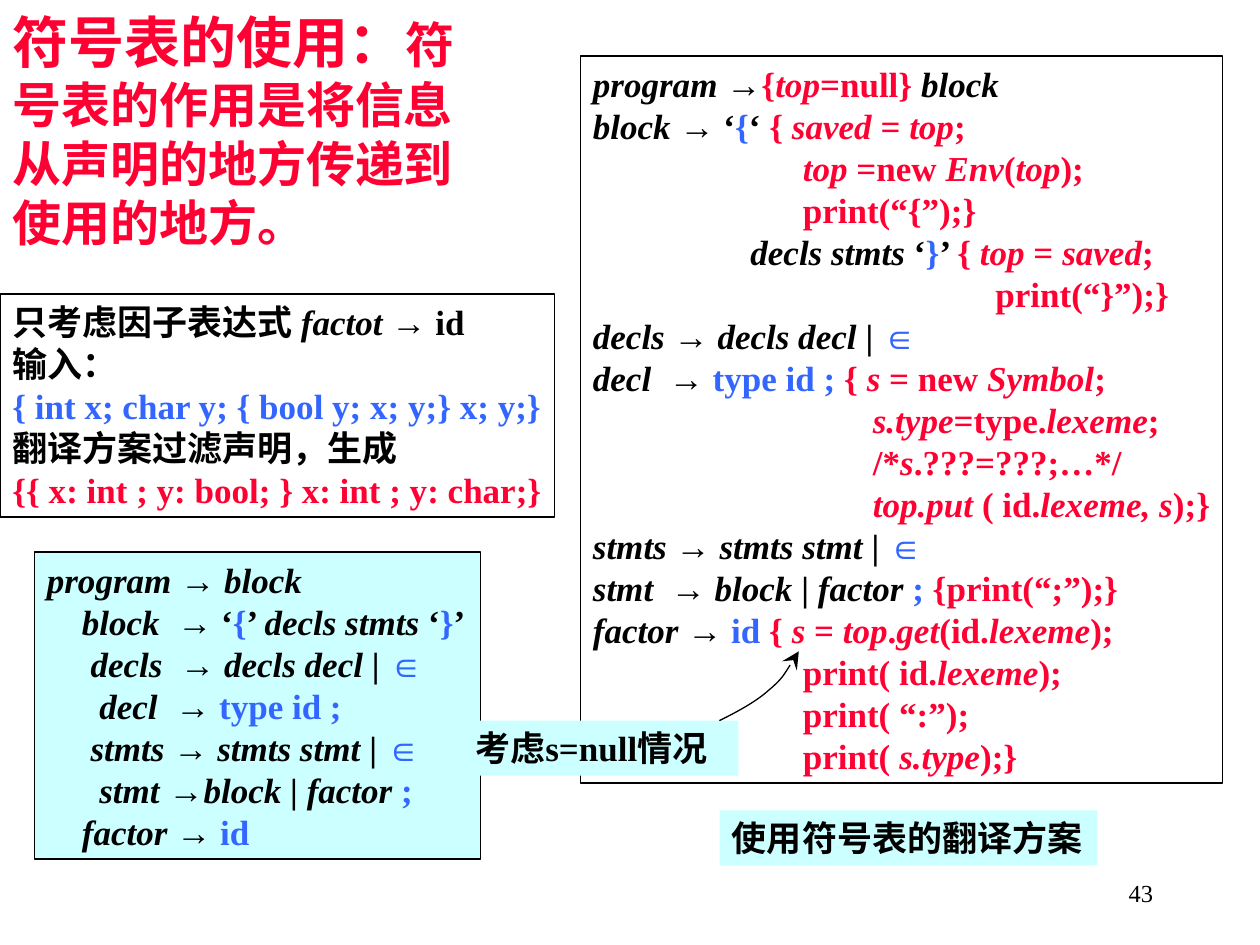
from lxml.etree import SubElement
from pptx import Presentation
from pptx.dml.color import RGBColor
from pptx.enum.shapes import MSO_SHAPE as Shape
from pptx.enum.text import MSO_ANCHOR as Anchor, MSO_AUTO_SIZE as AutoSize, PP_ALIGN as Align
from pptx.oxml.ns import qn
from pptx.util import Pt

COLORS = {"black": "000000", "red": "FF0033", "blue": "3366FF", "pale": "CCFFFF"}
K, R, B = "black", "red", "blue"
SERIF, SANS = "Times New Roman", "Arial"
SPACE = 5  # width in points of one space of indent

# Content: a line is (indent in spaces, spans); _underscores_ enclose italics
TITLE = [("符号表的使用：", 32), ("符号表的作用是将信息从声明的地方传递到使用的地方。", 28)]
EXAMPLE = [
    (0, [(K, "只考虑因子表达式 _factot _→ id\v输入：")]),
    (0, [(B, "{ int x; char y; { bool y; x; y;} x; y;}")]),
    (0, [(K, "翻译方案过滤声明，生成")]),
    (0, [(R, "{{ x: int ; y: bool; } x: int ; y: char;}")]),
]
SCHEME = [
    (0, [(K, "_program _→"), (R, "{_top_=null} "), (K, "_block_")]),
    (0, [(K, "_block _→ ‘"), (B, "{"), (K, "‘ "), (R, "{ _saved_ = _top_;")]),
    (24, [(R, "_top_ =new _Env_(_top_);")]),
    (24, [(R, "print(“{”);}")]),
    (18, [(K, "_decls stmts_ ‘"), (B, "}"), (K, "’ "), (R, "{ _top_ = _saved_;")]),
    (46, [(R, "print(“}”);}")]),
    (0, [(K, "_decls _→ _decls decl_ | "), (B, "∈")]),
    (0, [(K, "_decl  _→ "), (B, "type id ; "), (R, "{ _s_ = new _Symbol_;")]),
    (32, [(R, "_s.type_=type._lexeme_;")]),
    (32, [(R, "/*_s_.???=???;…*/")]),
    (32, [(R, "_top.put _( id._lexeme, s_);}")]),
    (0, [(K, "_stmts _→ _stmts stmt_ | "), (B, "∈")]),
    (0, [(K, "_stmt  _→ _block_ | _factor _"), (B, "; "), (R, "{print(“;”);}")]),
    (0, [(K, "_factor _→ "), (B, "id "), (R, "{ _s_ = _top_._get_(id._lexeme_);")]),
    (24, [(R, "print( id._lexeme_);")]),
    (24, [(R, "print( “:”);")]),
    (24, [(R, "print( _s.type_);}")]),
]
GRAMMAR = [
    (0, [(K, "_program _→_ block_")]),
    (4, [(K, "_block  _→ ‘"), (B, "{"), (K, "’ _decls stmts_ ‘"), (B, "}"), (K, "’")]),
    (5, [(K, "_decls  _→ _decls decl_ | "), (B, "∈")]),
    (6, [(K, "_decl  _→ "), (B, "type id ;")]),
    (5, [(K, "_stmts _→ _stmts stmt_ | "), (B, "∈")]),
    (6, [(K, "_stmt _→_block_ | _factor _"), (B, ";")]),
    (4, [(K, "_factor _→ "), (B, "id")]),
]
# Boxes: left, top, width, height, fill, outlined, lines
BOXES = [
    (0, 168, 317, 127.5, None, True, EXAMPLE),
    (331.7, 32, 367, 415.5, None, True, SCHEME),
    (19.7, 315.4, 255, 175.5, "pale", True, GRAMMAR),
    (411.2, 463, 216, 31.5, "pale", False, [(0, [(K, "使用符号表的翻译方案")])]),
    (264.5, 411.8, 157.5, 31.5, "pale", False, [(0, [(K, "考虑s=null情况")])]),
]
# Curved arrow from the remark to s: end points, then curves relative to the box
CURVE_START, CURVE_END = (411.1, 411.8), (456.5, 372.2)
CURVES = [
    [(10.1, 34.6), (20.9, 28.8), (28.1, 22.3)],
    [(36, 15.8), (40.3, 7.9), (45.4, 0)],
]


def color(name):
    return RGBColor.from_string(COLORS[name])


def add_span(para, text, hue, size, font=SERIF, bold=True, italic=False):
    span = para.add_run()
    span.text = text
    span.font.name, span.font.size = font, Pt(size)
    span.font.bold, span.font.italic = bold, italic
    span.font.color.rgb = color(hue)


def add_marked(para, text, hue):
    """Add text with italics between underscores and arrows in sans."""
    for number, part in enumerate(text.split("_")):
        before, arrow, after = part.partition("→")
        for piece, font in ((before, SERIF), (arrow, SANS), (after, SERIF)):
            for row, words in enumerate(piece.split("\v")):
                if row:
                    para.add_line_break()
                if words:
                    add_span(para, words, hue, 20, font, italic=number % 2 == 1)


def add_box(slide, left, top, width, height, fill, outlined, lines):
    box = slide.shapes.add_shape(Shape.RECTANGLE, Pt(left), Pt(top), Pt(width), Pt(height))
    box.shadow.inherit = False
    if fill:
        box.fill.solid()
        box.fill.fore_color.rgb = color(fill)
    else:
        box.fill.background()
    if outlined:
        box.line.color.rgb = color("black")
        box.line.width = Pt(0.75)
    else:
        box.line.fill.background()
    frame = box.text_frame
    frame.word_wrap = False
    frame.auto_size = AutoSize.SHAPE_TO_FIT_TEXT
    frame.vertical_anchor = Anchor.TOP
    for number, (indent, spans) in enumerate(lines):
        para = frame.add_paragraph() if number else frame.paragraphs[0]
        para.alignment = Align.LEFT
        if indent:
            para._p.get_or_add_pPr().set("marL", str(Pt(indent * SPACE)))
        for hue, text in spans:
            add_marked(para, text, hue)


def add_curved_arrow(slide):
    start, end = [tuple(Pt(value) for value in point) for point in (CURVE_START, CURVE_END)]
    builder = slide.shapes.build_freeform(*start)
    builder.add_line_segments([end], close=False)
    arrow = builder.convert_to_shape()
    arrow.shadow.inherit = False
    arrow.fill.background()
    arrow.line.color.rgb = color("black")
    arrow.line.width = Pt(0.75)
    segment = next(arrow._element.iter(qn("a:lnTo")))
    outline = segment.getparent()
    outline.remove(segment)
    for points in CURVES:
        curve = SubElement(outline, qn("a:cubicBezTo"))
        for x, y in points:
            SubElement(curve, qn("a:pt"), x=str(Pt(x)), y=str(Pt(y)))
    SubElement(arrow.line._get_or_add_ln(), qn("a:tailEnd"), type="stealth", w="lg", len="lg")


def main():
    deck = Presentation()
    deck.slide_width, deck.slide_height = Pt(720), Pt(540)
    slide = deck.slides.add_slide(deck.slide_layouts[5])

    # Title
    title = slide.shapes.title
    title.left, title.top, title.width, title.height = Pt(0), Pt(0), Pt(278), Pt(147.6)
    title.text_frame.auto_size = AutoSize.NONE
    title.text_frame.word_wrap = True
    title.text_frame.vertical_anchor = Anchor.MIDDLE
    para = title.text_frame.paragraphs[0]
    para.alignment = Align.LEFT
    for text, size in TITLE:
        add_span(para, text, "red", size, SANS)

    # Text boxes and arrow
    for box in BOXES:
        add_box(slide, *box)
    add_curved_arrow(slide)

    # Page number
    page = slide.shapes.add_textbox(Pt(516), Pt(492), Pt(150), Pt(36))
    page.text_frame.word_wrap = True
    page.text_frame.vertical_anchor = Anchor.MIDDLE
    para = page.text_frame.paragraphs[0]
    para.alignment = Align.RIGHT
    add_span(para, "43", "black", 14, bold=False)

    deck.save("out.pptx")


if __name__ == "__main__":
    main()
